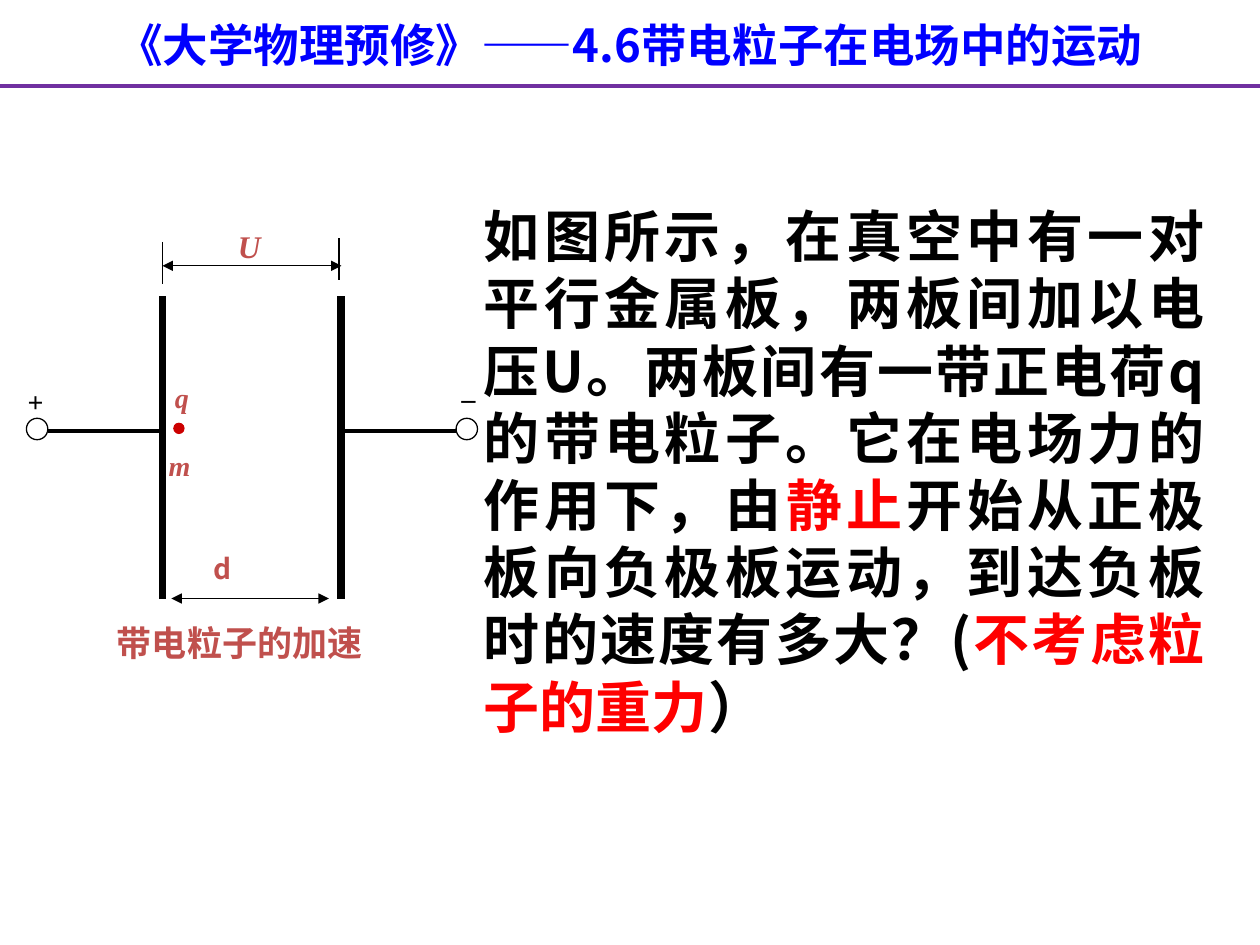
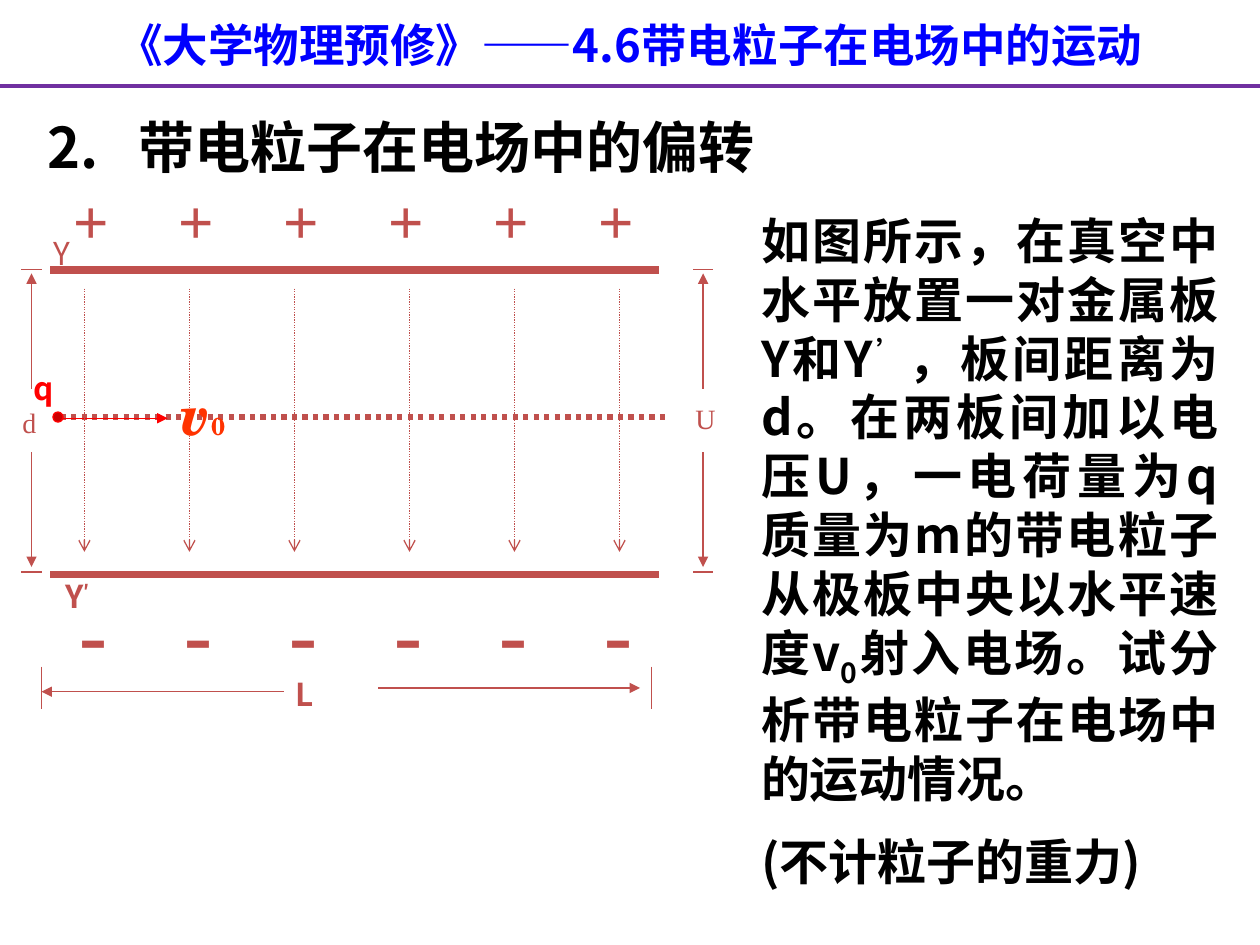
from lxml.etree import SubElement
from pptx import Presentation
from pptx.dml.color import RGBColor
from pptx.enum.dml import MSO_LINE
from pptx.enum.shapes import MSO_CONNECTOR, MSO_SHAPE
from pptx.enum.text import MSO_ANCHOR, MSO_AUTO_SIZE, PP_ALIGN
from pptx.oxml.ns import qn
from pptx.util import Inches, Pt

# Shared look
BLACK, RED, BRICK = "000000", "FF0000", "C0504D"
DOT_RED, ORANGE, BLUE, PURPLE = "CC0000", "FF3300", "0000FF", "7030A0"
SANS, SANS_BODY = "Noto Sans CJK SC", "Noto Sans CJK JP"
SERIF, SCHOOL = "Times New Roman", "TeX Gyre Schola"
COURSE_TITLE = "《大学物理预修》——4.6带电粒子在电场中的运动"
TITLE_FORMAT = {"size": 26, "name": SANS, "color": BLUE, "bold": True}

# Text formats
SYMBOL = {"size": 16, "name": SERIF, "color": BRICK, "bold": True, "italic": True}
TERMINAL = SYMBOL | {"color": BLACK}
PLAIN = {"size": 16, "name": SERIF, "color": BRICK}
LABEL = {"size": 18, "name": SANS, "color": BRICK, "bold": True}
HEADING = LABEL | {"size": 32, "color": BLACK}
VELOCITY = {"size": 32, "name": SCHOOL, "color": ORANGE, "bold": True, "italic": True}
PROBLEM = {"size": 32, "name": SANS_BODY, "color": BLACK, "bold": True}
STRESS = PROBLEM | {"color": RED}
QUESTION = PROBLEM | {"size": 28}

# Slide 1: acceleration between two plates
ACCELERATION_TEXT = [[
    ("如图所示，在真空中有一对平行金属板，两板间加以电压U。两板间有一带正电荷q的带电粒子。"
     "它在电场力的作用下，由", PROBLEM),
    ("静止", STRESS),
    ("开始从正极板向负极板运动，到达负板时的速度有多大？(", PROBLEM),
    ("不考虑粒子的重力", STRESS),
    ("）", PROBLEM),
]]
ACCELERATION_LABELS = [
    ((1.29, 2.97, 0.25, 0.37), [("q", SYMBOL)]),
    ((1.79, 1.75, 0.33, 0.4), [("U", SYMBOL | {"size": 18})]),
    ((1.24, 3.51, 0.33, 0.37), [("m", SYMBOL)]),
    ((0.12, 3, 0.33, 0.37), [("+", TERMINAL)]),
    ((3.58, 2.9, 0.25, 0.37), [("_", TERMINAL)]),
    ((0.83, 4.88, 2.17, 0.43),
     [("带电粒子的加速", SYMBOL | {"size": 20, "italic": False})]),
    ((1.6, 4.33, 0.46, 0.37), [("d", LABEL | {"size": 16})]),
]
PLATE_LEFT, PLATE_RIGHT = 1.29, 2.71
BOTH_ENDS = {"head": "triangle", "tail": "triangle"}
ACCELERATION_LINES = [
    ((PLATE_LEFT, 2.35), (PLATE_LEFT, 4.75), {"width": 4.5}),
    ((PLATE_RIGHT, 2.35), (PLATE_RIGHT, 4.75), {"width": 4.5}),
    ((0.38, 3.42), (PLATE_LEFT, 3.42), {"width": 2.25}),
    ((PLATE_RIGHT, 3.42), (3.62, 3.42), {"width": 2.25}),
    ((PLATE_LEFT, 1.92), (PLATE_LEFT, 2.25), {}),
    ((2.69, 1.89), (2.69, 2.22), {}),
    ((PLATE_LEFT, 2.11), (PLATE_RIGHT, 2.11), BOTH_ENDS),
    ((1.36, 4.75), (2.61, 4.75), BOTH_ENDS),
]
TERMINAL_LEFTS = (0.21, 3.62)

# Slide 2: deflection between horizontal plates
DEFLECTION_TEXT = [
    [
        ("如图所示，在真空中水平放置一对金属板Y和Y", QUESTION),
        ("’", QUESTION | {"name": SERIF, "baseline": 30}),
        ("，板间距离为d。在两板间加以电压U，一电荷量为q质量为m的带电粒子从极板中央以水平速度v",
         QUESTION),
        ("0", QUESTION | {"baseline": -25}),
        ("射入电场。试分析带电粒子在电场中的运动情况。", QUESTION),
    ],
    [("(不计粒子的重力)", QUESTION)],
]
DEFLECTION_LABELS = [
    ((5.42, 3.14, 0.33, 0.37), [("U", PLAIN)]),
    ((2.25, 5.31, 0.67, 0.4), [("L", LABEL)]),
    ((0.33, 1.81, 0.33, 0.4), [("Y", LABEL | {"bold": False})]),
    ((0.08, 3.17, 0.42, 0.64), [("d", PLAIN)]),
    ((0.42, 4.53, 0.67, 0.4), [("Y", LABEL), ("′", LABEL | {"baseline": 30})]),
    ((1.33, 2.96, 0.99, 0.63),
     [("v", VELOCITY), ("0", VELOCITY | {"size": 14, "italic": False})]),
    ((0.17, 2.88, 0.5, 0.4), [("q", LABEL | {"color": RED})]),
]
DEFLECTION_LINES = [
    ((0.4, 2.14), (5.23, 2.14), {"width": 4.5}),
    ((0.4, 4.56), (5.23, 4.56), {"width": 4.5}),
    ((0.48, 3.31), (5.31, 3.31), {"width": 3, "dotted": True}),
    ((0.5, 3.32), (1.33, 3.32), {"color": RED, "tail": "triangle"}),
    ((0.33, 5.29), (0.33, 5.63), {}),
    ((5.17, 5.29), (5.17, 5.63), {}),
    ((3, 5.46), (5.08, 5.46), {"tail": "triangle"}),
    ((0.33, 5.49), (2.25, 5.49), {"head": "triangle"}),
]
GAUGE_CENTERS = (0.25, 5.58)
CHARGE_COUNT, CHARGE_STEP = 6, 5 / 6
CHARGE_ROWS = [("+", 36, (0.48, 1.39, 0.5, 0.7)), ("-", 48, (0.53, 4.56, 0.55, 0.9))]
FIELD_STARTS = (0.67, 3.25)


def rgb(color):
    return RGBColor.from_string(color)


def place(shape, box):
    for name, value in zip(("left", "top", "width", "height"), box):
        setattr(shape, name, Inches(value))


def add_run(paragraph, text, style):
    run = paragraph.add_run()
    run.text = text
    font = run.font
    font.color.rgb = rgb(style["color"])
    font.size = Pt(style["size"])
    for name in ("name", "bold", "italic"):
        if name in style:
            setattr(font, name, style[name])
    properties = run._r.get_or_add_rPr()
    if "baseline" in style:
        properties.set("baseline", str(style["baseline"] * 1000))
    # East Asian characters need their own typeface
    has_cjk = style["name"] in (SANS, SANS_BODY)
    SubElement(properties, qn("a:ea"), typeface=style["name"] if has_cjk else SANS)


def prepare_frame(shape, anchor=MSO_ANCHOR.TOP):
    frame = shape.text_frame
    frame.word_wrap = True
    frame.auto_size = MSO_AUTO_SIZE.NONE
    frame.vertical_anchor = anchor
    return frame


def add_label(slide, box, runs):
    shape = slide.shapes.add_textbox(*map(Inches, box))
    paragraph = prepare_frame(shape).paragraphs[0]
    for text, style in runs:
        add_run(paragraph, text, style)
    return paragraph


def add_line(slide, start, end, color=BLACK, width=0.75, dotted=False, head=None, tail=None):
    connector = slide.shapes.add_connector(
        MSO_CONNECTOR.STRAIGHT, *map(Inches, (*start, *end)))
    line = connector.line
    line.color.rgb = rgb(color)
    line.width = Pt(width)
    if dotted:
        line.dash_style = MSO_LINE.ROUND_DOT
    for tag, kind in (("a:headEnd", head), ("a:tailEnd", tail)):
        if kind:
            SubElement(line._get_or_add_ln(), qn(tag), type=kind)
    SubElement(connector._element.spPr, qn("a:effectLst"))


def add_circle(slide, left, top, size, color, fill=None):
    circle = slide.shapes.add_shape(
        MSO_SHAPE.OVAL, *map(Inches, (left, top, size, size)))
    circle.shadow.inherit = False
    circle.line.color.rgb = rgb(color)
    circle.line.width = Pt(0.75)
    if fill:
        circle.fill.solid()
        circle.fill.fore_color.rgb = rgb(fill)
    else:
        circle.fill.background()


def add_course_slide(presentation, body_box, body_paragraphs):
    slide = presentation.slides.add_slide(presentation.slide_layouts[1])
    # Title band
    title = slide.shapes.title
    place(title, (0, 0.08, 10, 0.54))
    paragraph = prepare_frame(title, MSO_ANCHOR.MIDDLE).paragraphs[0]
    paragraph.alignment = PP_ALIGN.CENTER
    add_run(paragraph, COURSE_TITLE, TITLE_FORMAT)
    add_line(slide, (0, 0.68), (10, 0.68), PURPLE, 2.25)
    # Problem statement
    body = slide.placeholders[1]
    place(body, body_box)
    frame = prepare_frame(body)
    for index, runs in enumerate(body_paragraphs):
        paragraph = frame.add_paragraph() if index else frame.paragraphs[0]
        paragraph.alignment = PP_ALIGN.JUSTIFY
        paragraph.space_before = Pt(14 if index else 0)
        properties = paragraph._p.get_or_add_pPr()
        for name in ("marL", "indent"):
            properties.set(name, "0")
        SubElement(properties, qn("a:buNone"))
        for text, style in runs:
            add_run(paragraph, text, style)
    return slide


def build_acceleration(presentation):
    slide = add_course_slide(presentation, (3.74, 1.55, 5.92, 4.36), ACCELERATION_TEXT)
    for start, end, style in ACCELERATION_LINES:
        add_line(slide, start, end, **style)
    for left in TERMINAL_LEFTS:
        add_circle(slide, left, 3.32, 0.17, BLACK)
    add_circle(slide, 1.38, 3.36, 0.08, DOT_RED, DOT_RED)
    for box, runs in ACCELERATION_LABELS:
        add_label(slide, box, runs)


def build_deflection(presentation):
    slide = add_course_slide(presentation, (5.94, 1.62, 3.83, 5.47), DEFLECTION_TEXT)
    heading = add_label(slide, (0.28, 0.84, 6.61, 0.64),
                        [("2.\t带电粒子在电场中的偏转", HEADING)])
    tabs = SubElement(heading._p.get_or_add_pPr(), qn("a:tabLst"))
    SubElement(tabs, qn("a:tab"), pos=str(Inches(0.72)), algn="l")

    # Height gauges on both sides
    for center in GAUGE_CENTERS:
        for y in (2.14, 4.54):
            add_line(slide, (center - 0.08, y), (center + 0.08, y), BRICK)
        add_line(slide, (center, 2.17), (center, 3.09), BRICK, head="triangle")
        add_line(slide, (center, 3.59), (center, 4.5), BRICK, tail="triangle")

    # Charges on the plates
    for sign, size, (left, top, width, height) in CHARGE_ROWS:
        for index in range(CHARGE_COUNT):
            add_label(slide, (left + index * CHARGE_STEP, top, width, height),
                      [(sign, PLAIN | {"size": size, "bold": True})])

    # Plates, path and length gauge
    for start, end, style in DEFLECTION_LINES:
        add_line(slide, start, end, **{"color": BRICK, **style})

    # Field arrows
    for first in FIELD_STARTS:
        for index in range(3):
            x = first + index * CHARGE_STEP
            add_line(slide, (x, 2.29), (x, 4.38), BRICK, dotted=True, tail="arrow")

    add_circle(slide, 0.42, 3.27, 0.08, RED, DOT_RED)
    for box, runs in DEFLECTION_LABELS:
        add_label(slide, box, runs)


def main():
    presentation = Presentation()
    presentation.slide_width = Inches(10)
    presentation.slide_height = Inches(7.5)
    build_acceleration(presentation)
    build_deflection(presentation)
    presentation.save("out.pptx")


if __name__ == "__main__":
    main()
